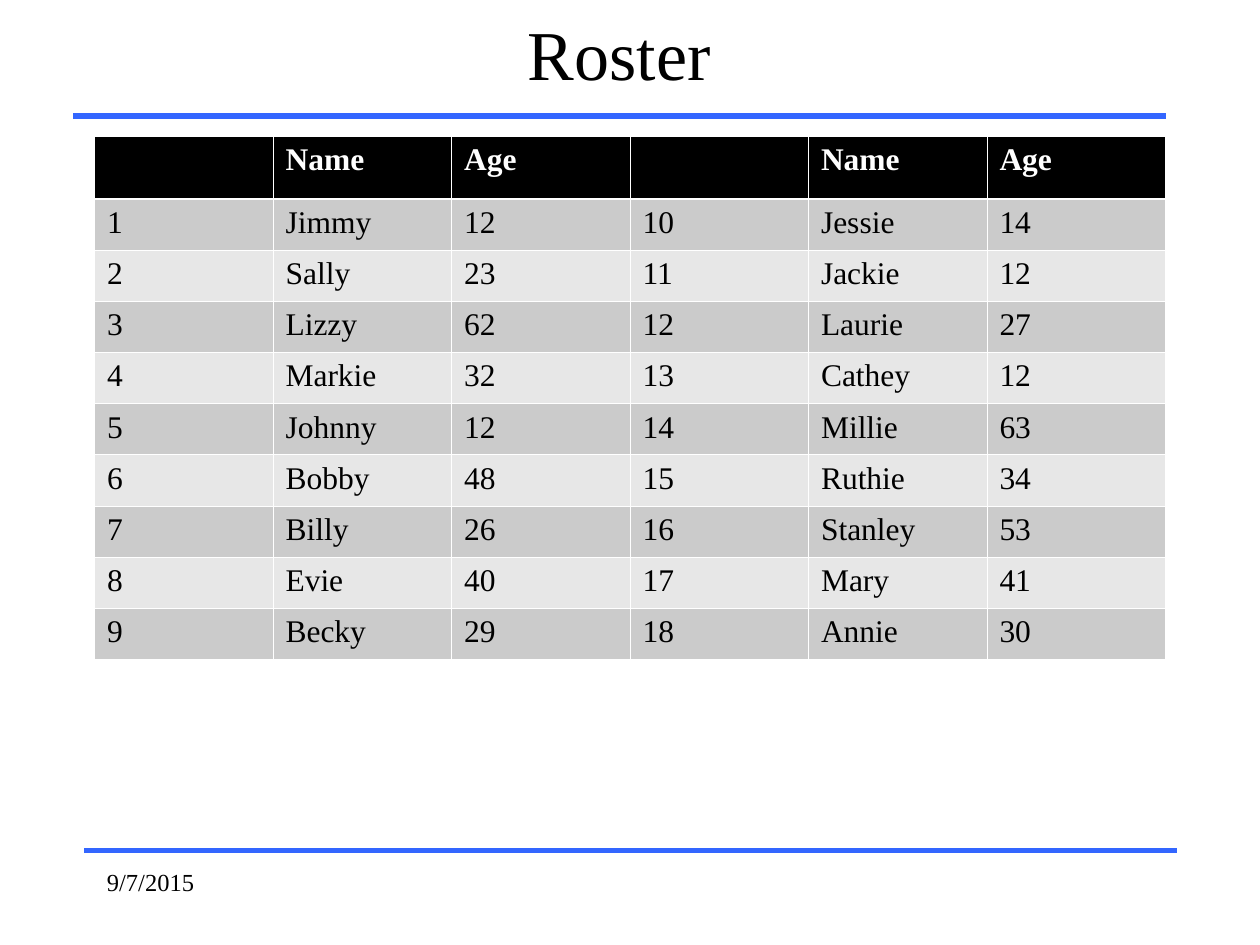
from dataclasses import dataclass

from lxml.etree import SubElement
from pptx import Presentation
from pptx.dml.color import RGBColor
from pptx.enum.shapes import MSO_CONNECTOR
from pptx.enum.text import MSO_ANCHOR, PP_ALIGN
from pptx.oxml.ns import qn
from pptx.slide import Slide
from pptx.table import _Cell
from pptx.text.text import _Paragraph
from pptx.util import Inches, Pt


@dataclass(frozen=True)
class Theme:
    font: str = "Times New Roman"
    text: str = "000000"
    rule: str = "3366FF"
    header_fill: str = "000000"
    header_text: str = "FFFFFF"
    bands: tuple[str, str] = ("CBCBCB", "E7E7E7")
    border: str = "FFFFFF"
    title_size: float = 40
    empty_size: float = 24
    table_size: float = 18
    date_size: float = 14
    rule_width: float = 3
    border_width: float = 0.45
    header_border_width: float = 1.47


@dataclass(frozen=True)
class Rule:
    left: float
    top: float
    width: float = 8.67


@dataclass(frozen=True)
class Label:
    text: str
    left: float
    top: float
    width: float
    height: float
    size: float
    align: PP_ALIGN = PP_ALIGN.LEFT
    anchor: MSO_ANCHOR = MSO_ANCHOR.TOP


@dataclass(frozen=True)
class Person:
    name: str
    age: int


THEME = Theme()
RULES = [Rule(0.67, 6.75), Rule(0.58, 0.92)]
TITLE = Label("Roster", 0.58, 0, 8.67, 0.83, THEME.title_size,
              PP_ALIGN.CENTER, MSO_ANCHOR.MIDDLE)
DATE = Label("9/7/2015", 0.75, 6.83, 2.08, 0.5, THEME.date_size)
HEADER = ["", "Name", "Age"]
PEOPLE = [
    Person("Jimmy", 12), Person("Sally", 23), Person("Lizzy", 62),
    Person("Markie", 32), Person("Johnny", 12), Person("Bobby", 48),
    Person("Billy", 26), Person("Evie", 40), Person("Becky", 29),
    Person("Jessie", 14), Person("Jackie", 12), Person("Laurie", 27),
    Person("Cathey", 12), Person("Millie", 63), Person("Ruthie", 34),
    Person("Stanley", 53), Person("Mary", 41), Person("Annie", 30),
]


def add_run(paragraph: _Paragraph, text: str, size: float,
            color: str = THEME.text, bold: bool = False) -> None:
    run = paragraph.add_run()
    run.text = text
    run.font.name = THEME.font
    run.font.size = Pt(size)
    run.font.bold = bold
    run.font.color.rgb = RGBColor.from_string(color)


def add_rule(slide: Slide, rule: Rule) -> None:
    connector = slide.shapes.add_connector(
        MSO_CONNECTOR.STRAIGHT, Inches(rule.left), Inches(rule.top),
        Inches(rule.left + rule.width), Inches(rule.top))
    connector.line.color.rgb = RGBColor.from_string(THEME.rule)
    connector.line.width = Pt(THEME.rule_width)
    SubElement(connector._element.spPr, qn("a:effectLst"))


def add_label(slide: Slide, label: Label) -> None:
    shape = slide.shapes.add_textbox(Inches(label.left), Inches(label.top),
                                     Inches(label.width), Inches(label.height))
    frame = shape.text_frame
    frame.word_wrap = True
    frame.vertical_anchor = label.anchor
    paragraph = frame.paragraphs[0]
    paragraph.alignment = label.align
    add_run(paragraph, label.text, label.size)


def set_empty_size(paragraph: _Paragraph) -> None:
    """Size the paragraph mark, which sets the height of an empty cell."""
    mark = SubElement(paragraph._p, qn("a:endParaRPr"),
                      sz=str(int(THEME.empty_size * 100)))
    SubElement(mark, qn("a:latin"), typeface=THEME.font)


def set_borders(cell: _Cell, row: int) -> None:
    """Draw thin borders, with a heavier one between header and body."""
    heavy_side = {0: "a:lnB", 1: "a:lnT"}.get(row)
    properties = cell._tc.get_or_add_tcPr()
    for side in ("a:lnL", "a:lnR", "a:lnT", "a:lnB"):
        width = THEME.header_border_width if side == heavy_side else THEME.border_width
        line = SubElement(properties, qn(side), w=str(int(Pt(width))))
        fill = SubElement(line, qn("a:solidFill"))
        SubElement(fill, qn("a:srgbClr"), val=THEME.border)


def style_cell(cell: _Cell, text: str, row: int) -> None:
    is_header = row == 0
    set_borders(cell, row)
    cell.fill.solid()
    cell.fill.fore_color.rgb = RGBColor.from_string(
        THEME.header_fill if is_header else THEME.bands[(row - 1) % 2])
    paragraph = cell.text_frame.paragraphs[0]
    if text:
        color = THEME.header_text if is_header else THEME.text
        add_run(paragraph, text, THEME.table_size, color, is_header)
    else:
        set_empty_size(paragraph)


def roster_rows() -> list[list[str]]:
    """Number the people and lay them out in two halves, side by side."""
    entries = [[str(number), person.name, str(person.age)]
               for number, person in enumerate(PEOPLE, 1)]
    half = len(entries) // 2
    pairs = zip(entries[:half], entries[half:])
    return [HEADER * 2] + [left + right for left, right in pairs]


def add_roster(slide: Slide) -> None:
    rows = roster_rows()
    table = slide.shapes.add_table(len(rows), len(rows[0]), Inches(0.75),
                                   Inches(1.08), Inches(8.5), Inches(4.06)).table
    for row, texts in enumerate(rows):
        for column, text in enumerate(texts):
            style_cell(table.cell(row, column), text, row)


def main() -> None:
    presentation = Presentation()
    presentation.slide_width = Inches(10)
    presentation.slide_height = Inches(7.5)
    slide = presentation.slides.add_slide(presentation.slide_layouts[6])
    for rule in RULES:
        add_rule(slide, rule)
    add_label(slide, TITLE)
    add_roster(slide)
    add_label(slide, DATE)
    presentation.save("out.pptx")


if __name__ == "__main__":
    main()
